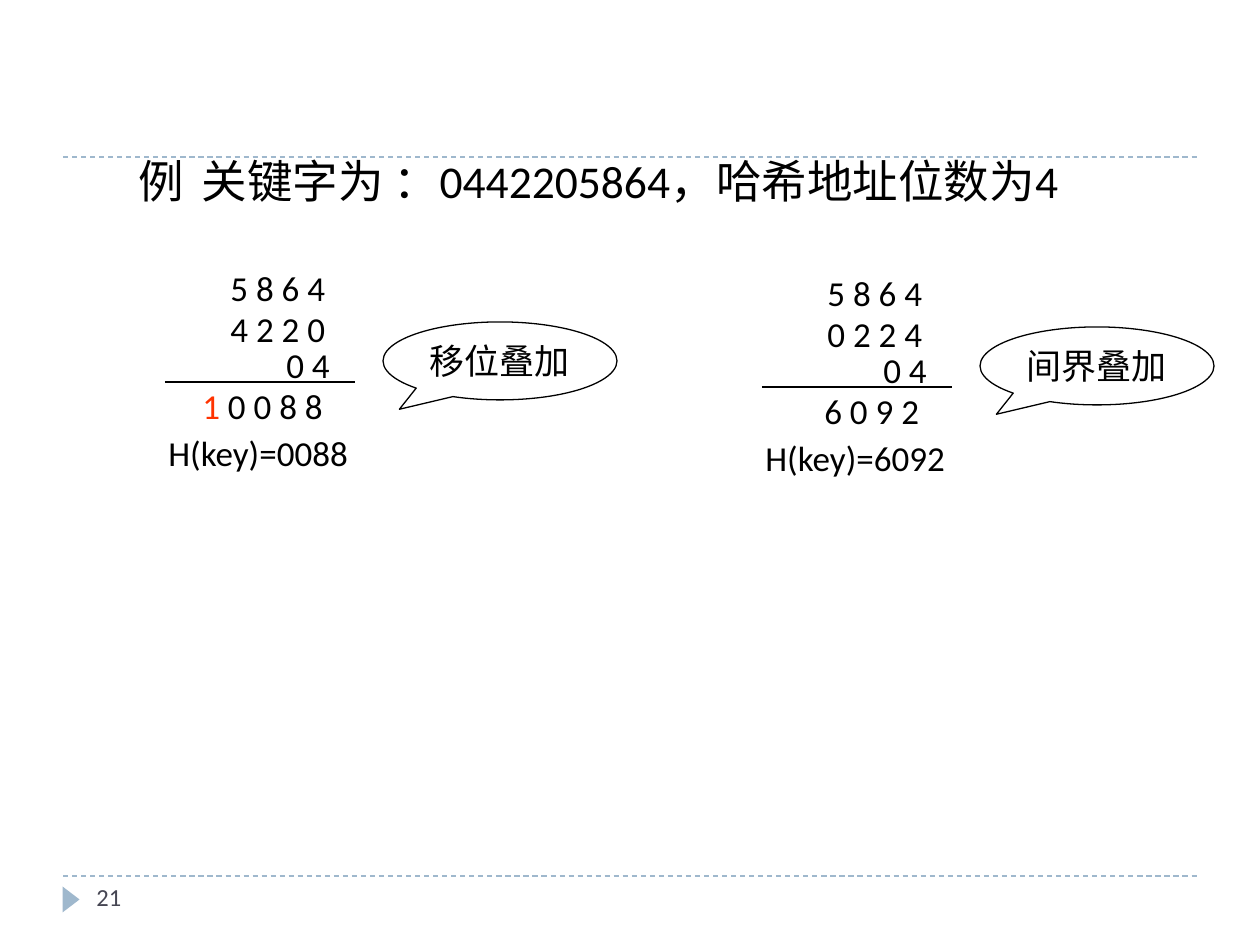
from dataclasses import dataclass

from lxml.etree import SubElement
from pptx import Presentation
from pptx.dml.color import RGBColor
from pptx.enum.dml import MSO_LINE
from pptx.enum.shapes import MSO_CONNECTOR, MSO_SHAPE
from pptx.enum.text import MSO_ANCHOR, MSO_AUTO_SIZE, PP_ALIGN
from pptx.oxml.ns import qn
from pptx.util import Emu, Pt

PX_PER_INCH = 126


@dataclass(frozen=True)
class Theme:
    font: str = "Calibri"
    ink: RGBColor = RGBColor(0x00, 0x00, 0x00)
    carry: RGBColor = RGBColor(0xFF, 0x33, 0x00)
    accent: RGBColor = RGBColor(0x9F, 0xB8, 0xCD)
    muted: RGBColor = RGBColor(0x46, 0x46, 0x53)
    heading_size: int = 26
    sum_size: int = 20
    footer_size: int = 14
    line_width: float = 0.75


THEME = Theme()


def px(length):
    return Emu(round(length * 914400 / PX_PER_INCH))


def format_run(run, size, color):
    run.font.name = THEME.font
    run.font.size = Pt(size)
    run.font.color.rgb = color


def add_label(slide, text, left, top, width, size=THEME.sum_size,
              color=THEME.ink, carry=""):
    label = slide.shapes.add_textbox(px(left), px(top), px(width), px(55))
    label.text_frame.word_wrap = True
    paragraph = label.text_frame.paragraphs[0]
    for part, part_color in ((carry, THEME.carry), (text, color)):
        if part:
            run = paragraph.add_run()
            run.text = part
            format_run(run, size, part_color)


def add_rule(slide, left, right, y, color, dash=None):
    rule = slide.shapes.add_connector(
        MSO_CONNECTOR.STRAIGHT, px(left), px(y), px(right), px(y))
    rule.line.color.rgb = color
    rule.line.width = Pt(THEME.line_width)
    if dash:
        rule.line.dash_style = dash
    SubElement(rule._element.spPr, qn("a:effectLst"))


def add_callout(slide, text, left, top):
    callout = slide.shapes.add_shape(
        MSO_SHAPE.OVAL_CALLOUT, px(left), px(top), px(234), px(78))
    callout.adjustments[0] = -0.43
    callout.adjustments[1] = 0.62
    callout.shadow.inherit = False
    callout.fill.background()
    callout.line.color.rgb = THEME.ink
    callout.line.width = Pt(THEME.line_width)
    frame = callout.text_frame
    frame.word_wrap = False
    frame.vertical_anchor = MSO_ANCHOR.MIDDLE
    frame.text = text
    frame.paragraphs[0].alignment = PP_ALIGN.CENTER
    format_run(frame.paragraphs[0].runs[0], THEME.sum_size, THEME.ink)


def add_folding_sum(slide, left, top, addends, total, carry, address, method):
    """One column addition with its hash address and method callout."""
    digits_left = left + 62
    first, second, last = addends
    add_label(slide, first, digits_left, top, 132)
    add_label(slide, second, digits_left, top + 41, 132)
    add_label(slide, last, left + 118, top + 77, 74)
    add_rule(slide, left + 9, left + 199, top + 122, THEME.ink)
    # A carried digit pushes the total out to the left
    total_left = left + 34 if carry else left + 59
    add_label(slide, total, total_left, top + 118, 161, carry=carry)
    add_label(slide, f"H(key)={address}", left, top + 165, 228)
    add_callout(slide, method, left + 227, top + 62)


def add_heading(slide, text):
    title = slide.shapes.title._element
    title.getparent().remove(title)
    body = slide.placeholders[1]
    body.left, body.top, body.width, body.height = map(px, (126, 147, 1113, 725))
    frame = body.text_frame
    frame.auto_size = MSO_AUTO_SIZE.NONE
    frame.text = text
    paragraph = frame.paragraphs[0]
    properties = paragraph._p.get_or_add_pPr()
    properties.set("marL", "0")
    properties.set("indent", "0")
    SubElement(properties, qn("a:buNone"))
    tabs = SubElement(properties, qn("a:tabLst"))
    SubElement(tabs, qn("a:tab"), pos=str(px(76)), algn="l")
    paragraph.space_before = Pt(0)
    format_run(paragraph.runs[0], THEME.heading_size, THEME.ink)


def add_frame(slide):
    for y in (876, 157):
        add_rule(slide, 63, 1197, y, THEME.accent, MSO_LINE.DASH)
    marker = slide.shapes.add_shape(
        MSO_SHAPE.ISOSCELES_TRIANGLE, px(58), px(891), px(26), px(17))
    marker.rotation = 90
    marker.shadow.inherit = False
    marker.fill.solid()
    marker.fill.fore_color.rgb = THEME.accent
    marker.line.fill.background()
    add_label(slide, "21", 84, 876, 273, THEME.footer_size, THEME.muted)


def main():
    deck = Presentation()
    deck.slide_width, deck.slide_height = px(1260), px(945)
    slide = deck.slides.add_slide(deck.slide_layouts[1])

    # Rules, marker and page number
    add_frame(slide)

    # Example statement
    add_heading(slide, "例\t关键字为 ：0442205864，哈希地址位数为4")

    # The two folding methods
    add_folding_sum(slide, 156, 260, ("5 8 6 4", "4 2 2 0", "0 4"),
                    " 0 0 8 8", "1", "0088", "移位叠加")
    add_folding_sum(slide, 753, 265, ("5 8 6 4", "0 2 2 4", "0 4"),
                    "6 0 9 2", "", "6092", "间界叠加")

    deck.save("out.pptx")


if __name__ == "__main__":
    main()
